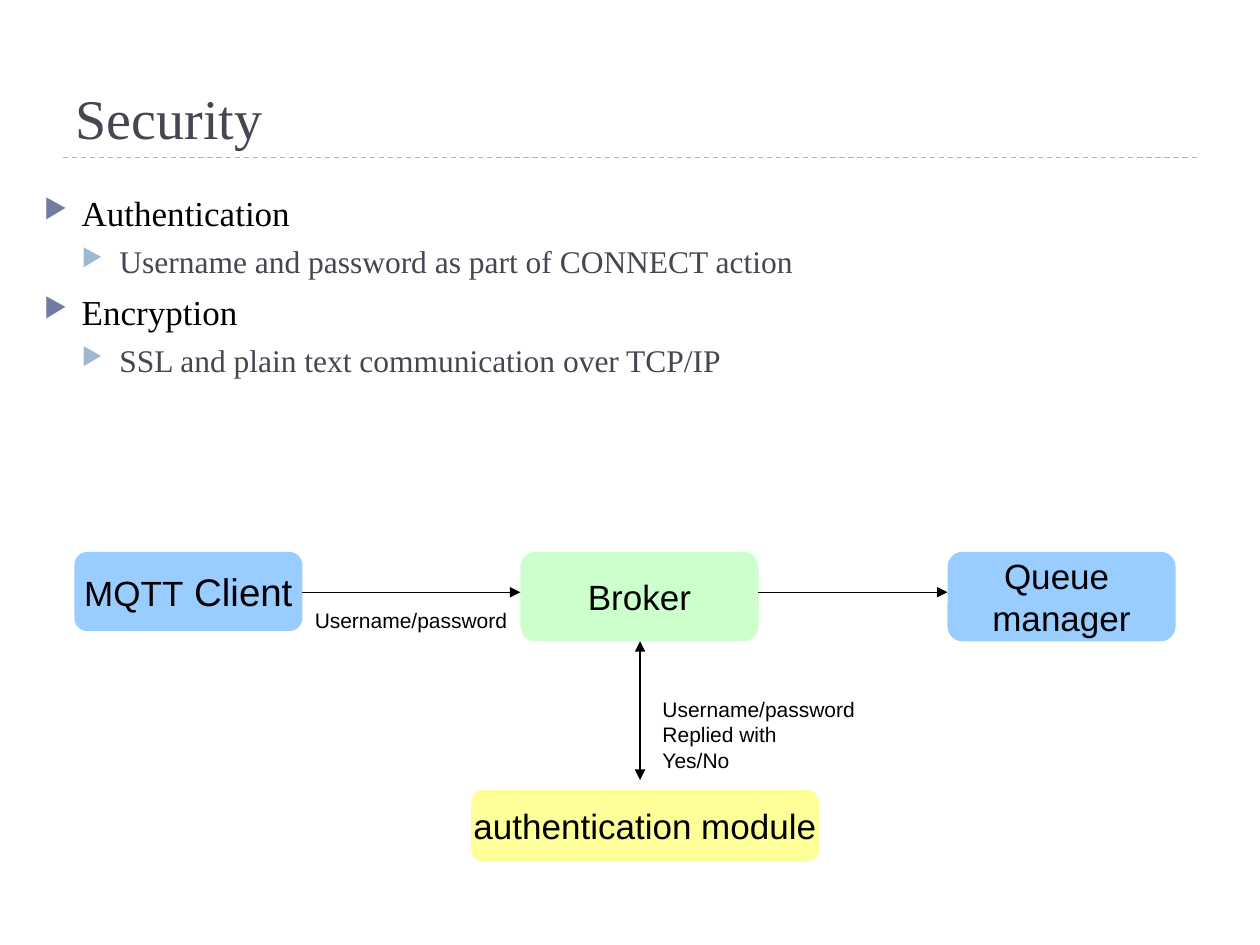
"""Build the Security slide: bullet points above an authentication flow diagram."""
from lxml.etree import SubElement
from pptx import Presentation
from pptx.dml.color import RGBColor
from pptx.enum.dml import MSO_LINE
from pptx.enum.shapes import MSO_CONNECTOR, MSO_SHAPE
from pptx.enum.text import MSO_ANCHOR, MSO_AUTO_SIZE, PP_ALIGN
from pptx.oxml.ns import qn
from pptx.util import Inches, Pt

COLORS = {
    "title": "464653", "text": "000000", "rule": "9FB8CD",
    "bullet": "727CA3", "sub_bullet": "9FB8CD",
    "blue": "99CCFF", "green": "CCFFCC", "yellow": "FFFF99",
}
SERIF, SANS = "Times New Roman", "Arial"


def style(run, size, font=SANS, color="text"):
    run.font.size = Pt(size)
    run.font.name = font
    run.font.color.rgb = RGBColor.from_string(COLORS[color])


def add_line(x1, y1, x2, y2, color="text", ends=()):
    line = slide.shapes.add_connector(
        MSO_CONNECTOR.STRAIGHT, Inches(x1), Inches(y1), Inches(x2), Inches(y2))
    line.line.color.rgb = RGBColor.from_string(COLORS[color])
    line.line.width = Pt(0.75)
    if not ends:
        line.line.dash_style = MSO_LINE.DASH
    for end in ends:
        SubElement(line.line._get_or_add_ln(), qn(f"a:{end}"), type="triangle")
    SubElement(line._element.spPr, qn("a:effectLst"))


prs = Presentation()
prs.slide_width, prs.slide_height = Inches(10), Inches(7.5)
slide = prs.slides.add_slide(prs.slide_layouts[5])

add_line(0.5, 1.25, 9.5, 1.25, "rule")

title = slide.shapes.title
title.left, title.top = Inches(0.5), Inches(0.17)
title.width, title.height = Inches(9), Inches(1.08)
tf = title.text_frame
tf.text = "Security"
tf.auto_size = MSO_AUTO_SIZE.NONE
tf.vertical_anchor = MSO_ANCHOR.BOTTOM
tf.paragraphs[0].alignment = PP_ALIGN.LEFT
style(tf.paragraphs[0].runs[0], 32, SERIF, "title")

points = [
    (0, "Authentication"),
    (1, "Username and password as part of CONNECT action"),
    (0, "Encryption"),
    (1, "SSL and plain text communication over TCP/IP"),
]
levels = [(20, 6, "text", "bullet"), (18, 5, "title", "sub_bullet")]
body = slide.shapes.add_textbox(Inches(0.25), Inches(1.47), Inches(9.5), Inches(4.9))
tf = body.text_frame
tf.word_wrap = True
tf.text = "\n".join(text for _, text in points)
for p, (level, _) in zip(tf.paragraphs, points):
    size, space, color, bullet = levels[level]
    p.level = level
    p.space_before = Pt(space)
    style(p.runs[0], size, SERIF, color)
    pPr = p._p.get_or_add_pPr()
    pPr.set("marL", str(Inches(0.3 * (level + 1))))
    pPr.set("indent", str(Inches(-0.3)))
    SubElement(SubElement(pPr, qn("a:buClr")), qn("a:srgbClr"), val=COLORS[bullet])
    SubElement(pPr, qn("a:buSzPct"), val="76000")
    SubElement(pPr, qn("a:buChar"), char="▶")

nodes = [
    (4.13, 4.38, 1.89, 0.71, "green", [[("Broker", 20)]]),
    (0.59, 4.38, 1.81, 0.63, "blue", [[("MQTT", 20), (" Client", 22)]]),
    (3.74, 6.27, 2.76, 0.57, "yellow", [[("authentication module", 20)]]),
    (7.52, 4.38, 1.81, 0.71, "blue", [[("Queue ", 20)], [("manager", 20)]]),
]
for x, y, w, h, fill, lines in nodes:
    node = slide.shapes.add_shape(
        MSO_SHAPE.ROUNDED_RECTANGLE, Inches(x), Inches(y), Inches(w), Inches(h))
    node.shadow.inherit = False
    node.fill.solid()
    node.fill.fore_color.rgb = RGBColor.from_string(COLORS[fill])
    node.line.fill.background()
    tf = node.text_frame
    tf.word_wrap = False
    tf.vertical_anchor = MSO_ANCHOR.MIDDLE
    for i, runs in enumerate(lines):
        p = tf.add_paragraph() if i else tf.paragraphs[0]
        p.alignment = PP_ALIGN.CENTER
        for text, size in runs:
            r = p.add_run()
            r.text = text
            style(r, size)

add_line(2.4, 4.7, 4.13, 4.7, ends=["tailEnd"])
add_line(5.08, 5.09, 5.08, 6.19, ends=["headEnd", "tailEnd"])
add_line(6.02, 4.7, 7.52, 4.7, ends=["tailEnd"])

labels = [
    (2.4, 4.77, 0.3, "Username/password"),
    (5.16, 5.48, 0.71, "Username/password\nReplied with\nYes/No"),
]
for x, y, h, text in labels:
    label = slide.shapes.add_textbox(Inches(x), Inches(y), Inches(1.74), Inches(h))
    tf = label.text_frame
    tf.word_wrap = False
    tf.auto_size = MSO_AUTO_SIZE.SHAPE_TO_FIT_TEXT
    tf.text = text
    for p in tf.paragraphs:
        style(p.runs[0], 12)

prs.save("out.pptx")
